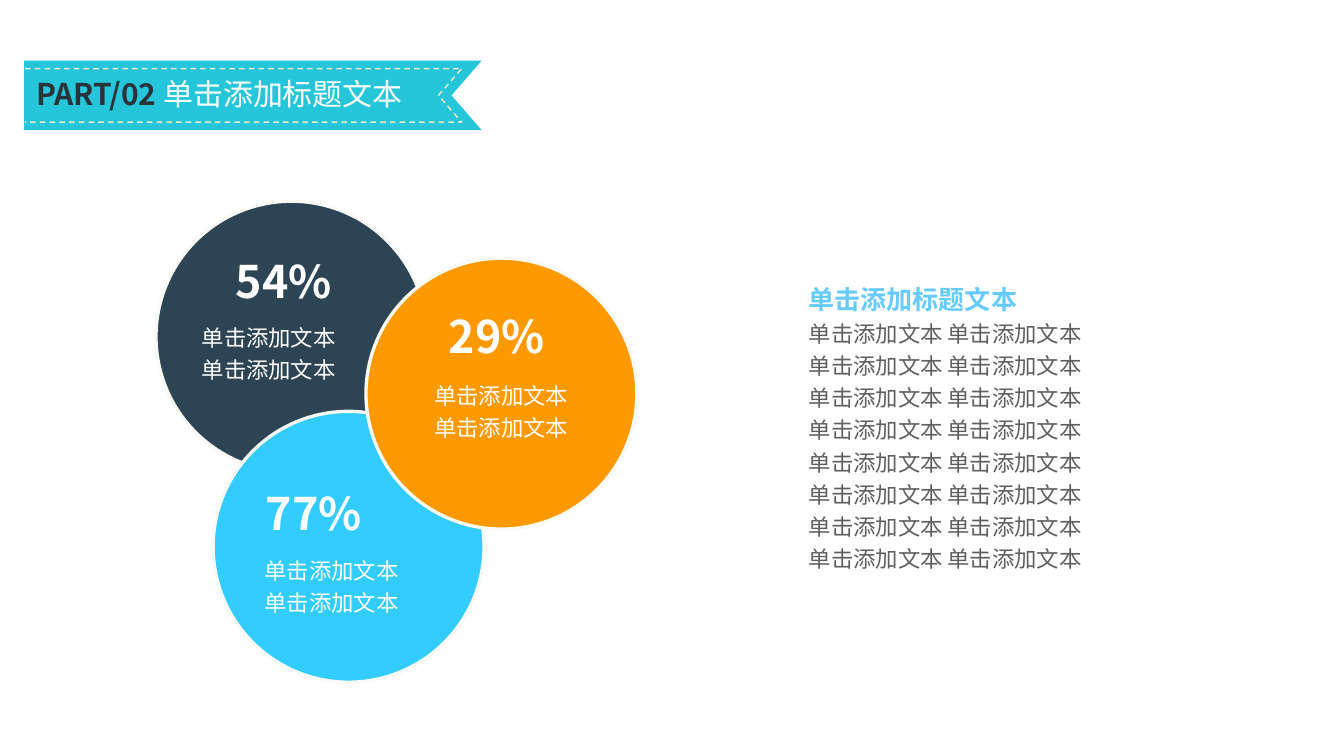
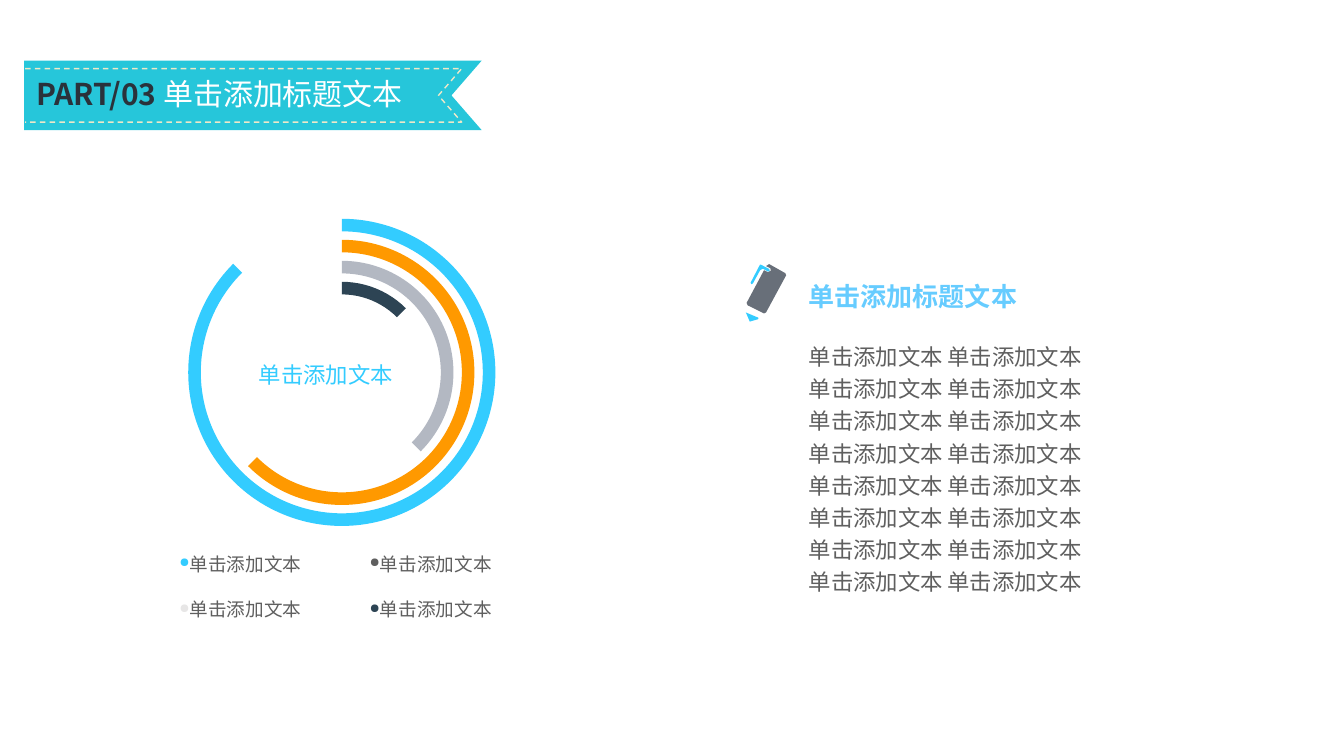
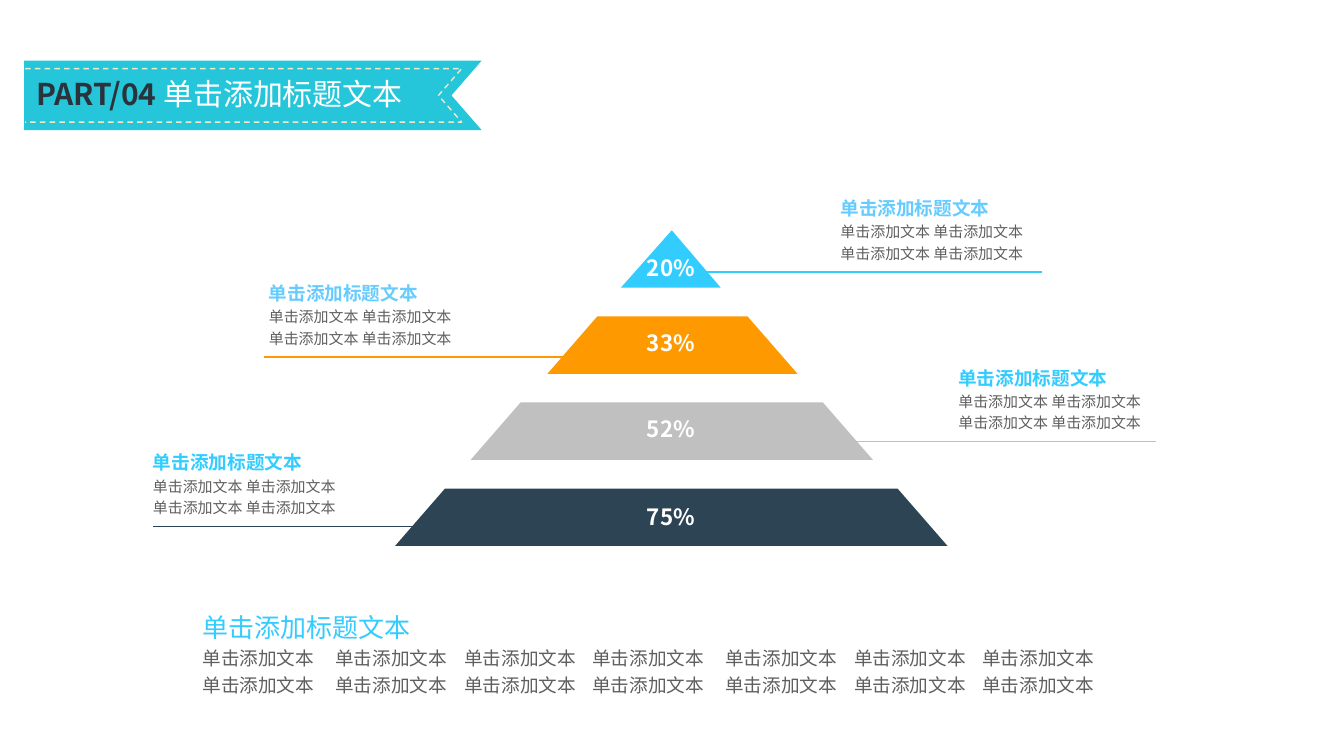
from dataclasses import dataclass
from itertools import accumulate

from lxml.etree import SubElement
from pptx import Presentation
from pptx.dml.color import RGBColor
from pptx.enum.dml import MSO_LINE
from pptx.enum.shapes import MSO_CONNECTOR, MSO_SHAPE
from pptx.enum.text import MSO_ANCHOR, MSO_AUTO_SIZE, PP_ALIGN
from pptx.oxml.ns import qn
from pptx.util import Pt

TEAL, CREAM, INK = "26C6DA", "EDE8C8", "2A323B"
NAVY, SKY, ORANGE, PALE_BLUE = "2D4454", "33CCFF", "FF9900", "66CCFF"
SILVER, STEEL, SLATE, MIST = "C0C0C0", "B3B8C2", "686F79", "E7E6E6"
WHITE, OFF_WHITE, GREY = "FFFFFF", "F9F9F6", "5F5F5F"
LATIN, CJK = "Arial", "Noto Sans CJK SC"
HEADING, PHRASE = "单击添加标题文本", "单击添加文本"
PAIR = f"{PHRASE} {PHRASE}"
SINGLE, LOOSE = 1.19, 1.44


@dataclass
class Line:
    text: str
    size: float
    colour: str
    bold: bool = False
    font: str = LATIN
    leading: float = LOOSE
    gap: float = 0
    align: PP_ALIGN = PP_ALIGN.LEFT
    bullet: str = ""


def rgb(colour):
    return RGBColor.from_string(colour)


def set_font(font, name, size, colour, bold):
    font.name, font.size, font.bold = name, Pt(size), bold
    font.color.rgb = rgb(colour)


def set_bullet(paragraph, bullet):
    props = paragraph._p.get_or_add_pPr()
    props.set("marL", "0")
    props.set("indent", "0")
    if bullet:
        tint = SubElement(props, qn("a:buClr"))
        SubElement(tint, qn("a:srgbClr"), val=bullet)
        SubElement(props, qn("a:buSzPct"), val="70000")
        SubElement(props, qn("a:buChar"), char="●")
    else:
        SubElement(props, qn("a:buNone"))


def place(holder, left, top, width, height):
    holder.left, holder.top = Pt(left), Pt(top)
    holder.width, holder.height = Pt(width), Pt(height)
    frame = holder.text_frame
    frame.word_wrap = True
    frame.auto_size = MSO_AUTO_SIZE.NONE
    frame.vertical_anchor = MSO_ANCHOR.TOP
    return frame


def write_lines(frame, lines):
    for index, line in enumerate(lines):
        paragraph = frame.add_paragraph() if index else frame.paragraphs[0]
        paragraph.text = line.text
        set_bullet(paragraph, line.bullet)
        paragraph.alignment = line.align
        paragraph.line_spacing = Pt(round(line.size * line.leading, 1))
        paragraph.space_before = Pt(0)
        paragraph.space_after = Pt(line.gap)
        set_font(paragraph.font, line.font, line.size, line.colour, line.bold)


def add_text(slide, left, top, width, height, lines):
    box = slide.shapes.add_textbox(Pt(left), Pt(top), Pt(width), Pt(height))
    write_lines(place(box, left, top, width, height), lines)


def paint(shape, fill=None, line=None, weight=1):
    shape.shadow.inherit = False
    if fill:
        shape.fill.solid()
        shape.fill.fore_color.rgb = rgb(fill)
    else:
        shape.fill.background()
    if line:
        shape.line.color.rgb = rgb(line)
        shape.line.width = Pt(weight)
    else:
        shape.line.fill.background()
    return shape


def add_preset(slide, preset, left, top, width, height, **colours):
    shape = slide.shapes.add_shape(preset, Pt(left), Pt(top), Pt(width), Pt(height))
    return paint(shape, **colours)


def add_outline(group, points, close=True, **colours):
    corners = [(Pt(x), Pt(y)) for x, y in points]
    builder = group.shapes.build_freeform(*corners[0])
    builder.add_line_segments(corners[1:], close=close)
    return paint(builder.convert_to_shape(), **colours)


def add_rule(slide, start, end, y, colour):
    rule = slide.shapes.add_connector(
        MSO_CONNECTOR.STRAIGHT, Pt(start), Pt(y), Pt(end), Pt(y))
    rule.line.color.rgb = rgb(colour)
    rule.line.width = Pt(1)
    SubElement(rule._element.spPr, qn("a:effectLst"))


def add_banner(slide, part):
    banner = slide.shapes.add_group_shape()
    add_outline(banner, [(17.3, 43.4), (344, 43.4), (322.5, 68.2),
                         (344, 92.9), (17.3, 92.9)], fill=TEAL)
    stitch = add_outline(banner, [(18, 49), (329.8, 49), (313.2, 68.2),
                                  (329.8, 87.2), (18, 87.2)], close=False, line=CREAM)
    stitch.line.dash_style = MSO_LINE.DASH

    title = slide.shapes.title
    title.element.getparent().append(title.element)
    paragraph = place(title, 18.7, 50.4, 287.3, 33.1).paragraphs[0]
    paragraph.alignment = PP_ALIGN.LEFT
    paragraph.line_spacing = Pt(25.4)
    for text, font, colour, bold in ((f"PART/{part} ", CJK, INK, True),
                                     (HEADING, LATIN, WHITE, False)):
        run = paragraph.add_run()
        run.text = text
        set_font(run.font, font, 21.4, colour, bold)


def start_slide(deck, part):
    slide = deck.slides.add_slide(deck.slide_layouts[1])
    add_banner(slide, part)
    return slide


def fill_body(slide, left, top, width, height, lines):
    write_lines(place(slide.placeholders[1], left, top, width, height), lines)


def build_circles(slide):
    fill_body(slide, 570.5, 194.4, 213.2, 220.4,
              [Line(HEADING, 18.6, PALE_BLUE, bold=True)] + [Line(PAIR, 16, GREY)] * 8)
    diameter = 193.5
    circles = (
        (208.2, 240.5, NAVY, "54%", (161.3, 177.8), (137, 224)),
        (249, 390.6, SKY, "77%", (182.9, 343.4), (181.8, 390.6)),
        (358.2, 281.2, ORANGE, "29%", (313.5, 217.4), (303.1, 265.7)),
    )
    for x, y, colour, share, share_at, caption_at in circles:
        add_preset(slide, MSO_SHAPE.OVAL, x - diameter / 2, y - diameter / 2,
                   diameter, diameter, fill=colour, line=OFF_WHITE, weight=2.38)
        add_text(slide, *share_at, 84.2, 46.1,
                 [Line(share, 32, WHITE, True, CJK, SINGLE)])
        add_text(slide, *caption_at, 111.6, 54, [Line(PHRASE, 16, WHITE)] * 2)


def add_pencil(slide):
    pencil = slide.shapes.add_group_shape()
    tip = [(532.8, 223.2), (541.8, 227), (541.6, 228), (535.6, 229.7)]
    barrel = [(549.4, 188.6), (560.9, 195.1), (561.6, 196.6), (547.2, 223.2),
              (545.8, 223.9), (534.2, 218.2), (533.3, 216.4), (545.8, 193),
              (548.6, 194.4), (550.6, 193.4), (550.3, 191.6), (547.2, 190.1)]
    clip = [(542.9, 189), (543.8, 189.2), (549.6, 192.2), (549.8, 193.7),
            (548.6, 194), (545, 192), (543, 193), (537.8, 202.5),
            (536.6, 203), (536.2, 201.9)]
    for points, colour in ((tip, SKY), (barrel, SLATE), (clip, SKY)):
        add_outline(pencil, points, fill=colour)


def build_rings(slide):
    fill_body(slide, 570.5, 196.6, 213.2, 234.7,
              [Line(HEADING, 18.6, PALE_BLUE, True, leading=SINGLE, gap=19)]
              + [Line(PAIR, 16, GREY)] * 8)
    centre_x, centre_y, band = 244.2, 266, 9
    rings = ((SKY, 225), (ORANGE, 135), (STEEL, 45), (NAVY, 315))
    for index, (colour, end_angle) in enumerate(rings):
        radius = 109.7 - 15 * index
        ring = add_preset(slide, MSO_SHAPE.BLOCK_ARC, centre_x - radius,
                          centre_y - radius, 2 * radius, 2 * radius, fill=colour)
        ring.adjustments[0] = 270 * 0.6
        ring.adjustments[1] = end_angle * 0.6
        ring.adjustments[2] = band / (2 * radius)
    add_text(slide, 177.8, 254.9, 111.6, 26.6,
             [Line(PHRASE, 16, SKY, leading=SINGLE)])
    for index, colour in enumerate((SKY, GREY, MIST, NAVY)):
        row, column = divmod(index, 2)
        add_text(slide, 121 + 136 * column, 391.5 + 32.5 * row, 105.8, 23.8,
                 [Line(PHRASE, 13.3, GREY, leading=SINGLE, bullet=colour)])
    add_pencil(slide)


def build_pyramid(slide):
    summary_left, summary_top = 137.5, 428.4
    fill_body(slide, summary_left, summary_top, 684, 34, [Line(HEADING, 18.6, SKY)])
    column_steps = [95, 92, 91.5] * 2
    for offset in accumulate(column_steps, initial=0):
        add_text(slide, summary_left + offset, summary_top + 26.8, 100, 46,
                 [Line(PHRASE, 13.3, GREY)] * 2)
    tiers = (
        (SKY, 443.5, 71.3, "20%", 14, 593.3, PALE_BLUE, (502.6, 744.5)),
        (ORANGE, 391, 178.6, "33%", 6, 185, PALE_BLUE, (188.6, 430.6)),
        (SILVER, 336.2, 287.3, "52%", 6, 677.5, SKY, (583.9, 825.8)),
        (NAVY, 282.2, 394.6, "75%", 7, 102.2, SKY, (109.4, 306)),
    )
    for index, tier in enumerate(tiers):
        colour, left, width, share, drop, note_left, note_colour, rule = tier
        top, note_top = 164.5 + 61.5 * index, 134 + 60.5 * index
        preset = MSO_SHAPE.TRAPEZOID if index else MSO_SHAPE.ISOSCELES_TRIANGLE
        block = add_preset(slide, preset, left, top, width, 41, fill=colour)
        block.adjustments[0] = 0.87 if index else 0.51
        add_text(slide, 454.3, top + drop, 49.7, 26.6,
                 [Line(share, 16, WHITE, True, CJK, SINGLE, align=PP_ALIGN.CENTER)])
        add_rule(slide, *rule, note_top + 60.4, colour)
        add_text(slide, note_left, note_top, 146.2, 57.6,
                 [Line(HEADING, 13.3, note_colour, True)] + [Line(PAIR, 10.7, GREY)] * 2)


def main():
    deck = Presentation()
    deck.slide_width, deck.slide_height = Pt(960), Pt(540)
    for part, build in (("02", build_circles), ("03", build_rings), ("04", build_pyramid)):
        build(start_slide(deck, part))
    deck.save("out.pptx")


if __name__ == "__main__":
    main()
